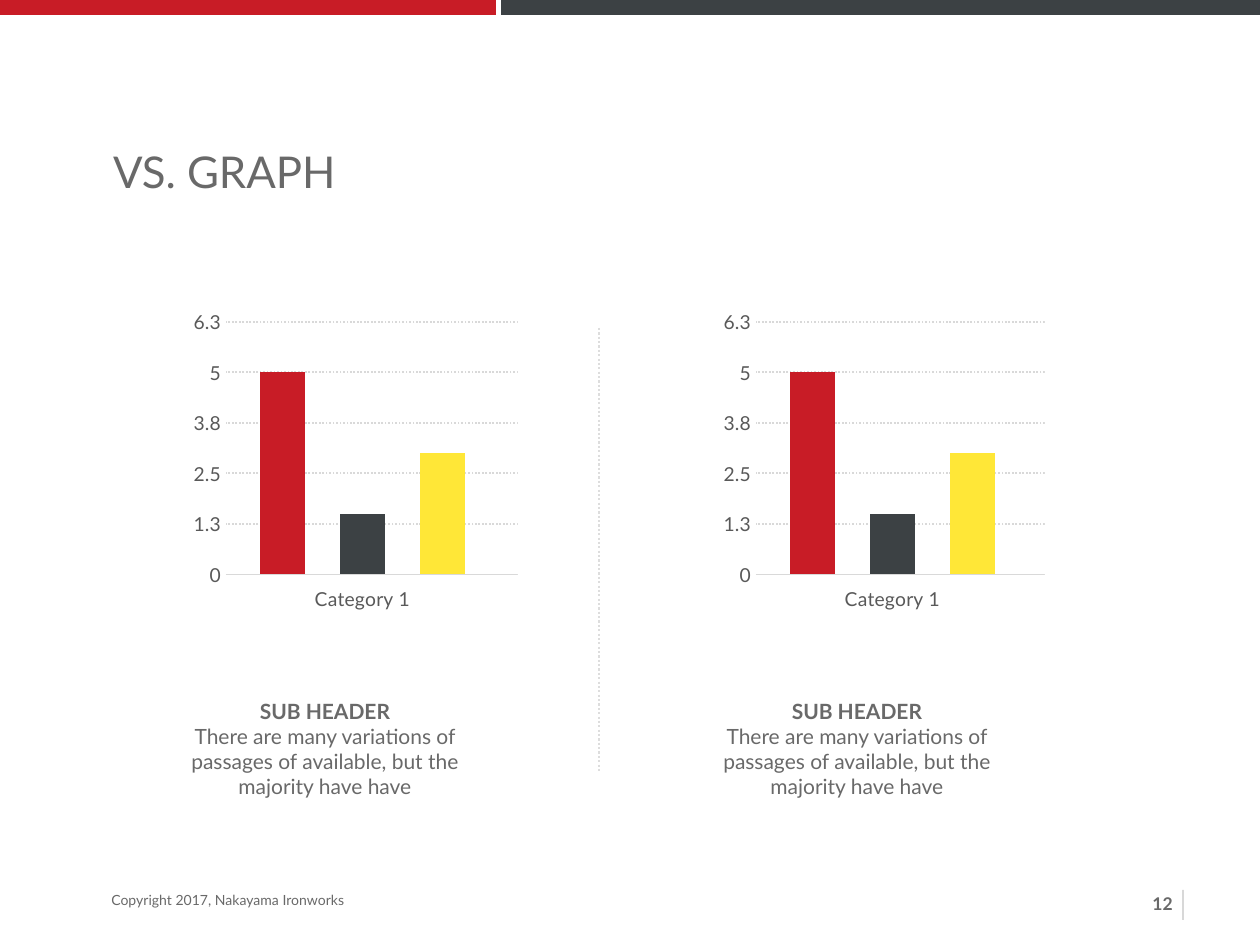
from lxml import etree
from pptx import Presentation, util as u
from pptx.chart.data import CategoryChartData
from pptx.dml.color import RGBColor
from pptx.enum import chart as charts, dml, shapes, text
from pptx.oxml import parse_xml
from pptx.oxml.ns import nsdecls, qn

PX = 914400 / 126
RED = RGBColor(0xC8, 0x1C, 0x26)
SLATE = RGBColor(0x3C, 0x41, 0x44)
YELLOW = RGBColor(0xFF, 0xE7, 0x37)
WHITE = RGBColor(0xFF, 0xFF, 0xFF)
GREY = RGBColor(0x69, 0x69, 0x69)
AXIS_TEXT = RGBColor(0x59, 0x59, 0x59)
AXIS_LINE = RGBColor(0xD9, 0xD9, 0xD9)
DIVIDER = RGBColor(0xDD, 0xDD, 0xDD)
BLACK = RGBColor(0, 0, 0)
FONT = "Lato"
SERIES = [("Series 1", 5, RED), ("Series 2", 1.5, SLATE), ("Series 3", 3, YELLOW)]
PLOT_LAYOUT = {"x": 0.08, "y": 0.07, "w": 0.91, "h": 0.81}

presentation = Presentation()
presentation.slide_width = u.Inches(10)
presentation.slide_height = u.Inches(7.5)
slide = presentation.slides.add_slide(presentation.slide_layouts[6])


def px(*lengths):
    """Turn px lengths into EMU."""
    return [round(length * PX) for length in lengths]


def add_text(box, lines, size, inset=0, wrap=True, align=None):
    """Add a text box; lines holds (text, bold, line spacing)."""
    frame = slide.shapes.add_textbox(*px(*box)).text_frame
    frame.word_wrap = wrap
    frame.auto_size = text.MSO_AUTO_SIZE.SHAPE_TO_FIT_TEXT
    frame.margin_left = frame.margin_right = u.Inches(inset)
    frame.margin_top = frame.margin_bottom = u.Inches(inset)
    for index, (words, bold, spacing) in enumerate(lines):
        paragraph = frame.add_paragraph() if index else frame.paragraphs[0]
        paragraph.alignment = align
        paragraph.line_spacing = spacing
        run = paragraph.add_run()
        run.text = words
        run.font.name = FONT
        run.font.size = u.Pt(size)
        run.font.bold = bold
        run.font.color.rgb = GREY


# Each half: a chart, a white panel over its empty second category, a caption
halves = [
    (178, (518, 198, 358, 654), 189),
    (708, (1045, 238, 215, 654), 721),
]
for chart_left, panel, caption_left in halves:
    data = CategoryChartData()
    data.categories = ["Category 1", ""]
    for name, value, _ in SERIES:
        data.add_series(name, [value, None])
    chart = slide.shapes.add_chart(
        charts.XL_CHART_TYPE.COLUMN_CLUSTERED, *px(chart_left, 300, 600, 312), data
    ).chart
    chart.has_legend = False
    chart.has_title = False
    chart.font.name = "Calibri"
    chart.font.size = u.Pt(10)
    chart.font.color.rgb = BLACK

    plot = chart.plots[0]
    plot.gap_width = 151
    plot.overlap = -78
    plot.vary_by_categories = False
    for series, (_, _, color) in zip(plot.series, SERIES):
        series.format.fill.solid()
        series.format.fill.fore_color.rgb = color

    for axis in (chart.category_axis, chart.value_axis):
        axis.major_tick_mark = axis.minor_tick_mark = charts.XL_TICK_MARK.NONE
        axis.tick_labels.font.name = FONT
        axis.tick_labels.font.size = u.Pt(11)
        axis.tick_labels.font.color.rgb = AXIS_TEXT
    chart.category_axis.tick_label_position = charts.XL_TICK_LABEL_POSITION.LOW
    chart.category_axis.format.line.color.rgb = AXIS_LINE
    chart.category_axis.format.line.width = u.Pt(1)

    values = chart.value_axis
    values.minimum_scale = 0
    values.maximum_scale = 6.25
    values.major_unit = 1.25
    values.tick_labels.number_format = "0.#"
    values.tick_labels.number_format_is_linked = False
    values.format.line.fill.background()
    grid = values.major_gridlines.format.line
    grid.color.rgb = AXIS_LINE
    grid.width = u.Pt(1)
    grid.dash_style = dml.MSO_LINE.ROUND_DOT

    plot_area = chart.element.find(".//" + qn("c:plotArea"))
    for layout in plot_area.findall(qn("c:layout")):
        plot_area.remove(layout)
    modes = '<c:xMode val="edge"/><c:yMode val="edge"/>'
    sizes = "".join(f'<c:{key} val="{part}"/>' for key, part in PLOT_LAYOUT.items())
    plot_area.insert(0, parse_xml(
        f'<c:layout {nsdecls("c")}><c:manualLayout><c:layoutTarget val="inner"/>'
        f"{modes}{sizes}</c:manualLayout></c:layout>"
    ))

    shape = slide.shapes.add_shape(shapes.MSO_SHAPE.RECTANGLE, *px(*panel))
    shape.shadow.inherit = False
    shape.fill.solid()
    shape.fill.fore_color.rgb = WHITE
    shape.line.fill.background()

    caption = "There are many variations of passages of available, but the majority have have"
    add_text((caption_left, 673, 272, 131),
             [("SUB HEADER", True, 2.0), (caption, False, None)],
             12, align=text.PP_ALIGN.CENTER)

# Top band
for left, width, color in [(-5, 501, RED), (501, 764, SLATE)]:
    band = slide.shapes.add_shape(shapes.MSO_SHAPE.RECTANGLE, *px(left, -5, width, 20))
    band.shadow.inherit = False
    band.fill.solid()
    band.fill.fore_color.rgb = color
    band.line.fill.background()

add_text((113, 145, 966, 53), [("VS. GRAPH", False, None)], 25)
add_text((105, 885, 247, 30), [("Copyright 2017, Nakayama Ironworks", False, None)],
         8, inset=0.05, wrap=False)
add_text((1145, 887, 34, 34), [("12", True, None)],
         10, inset=0.05, wrap=False, align=text.PP_ALIGN.RIGHT)

# Divider between the charts, and the rule beside the page number
rules = [
    ((599, 328, 599, 771), DIVIDER, 1.25, dml.MSO_LINE.ROUND_DOT, 100),
    ((1183, 920, 1183, 890), GREY, 1, dml.MSO_LINE.SOLID, 25),
]
for ends, color, width, dash, opacity in rules:
    rule = slide.shapes.add_connector(shapes.MSO_CONNECTOR.STRAIGHT, *px(*ends))
    rule.line.color.rgb = color
    rule.line.width = u.Pt(width)
    rule.line.dash_style = dash
    properties = rule._element.spPr
    if opacity < 100:
        solid_color = properties.find(".//" + qn("a:srgbClr"))
        etree.SubElement(solid_color, qn("a:alpha")).set("val", str(opacity * 1000))
    etree.SubElement(properties, qn("a:effectLst"))

presentation.save("out.pptx")
